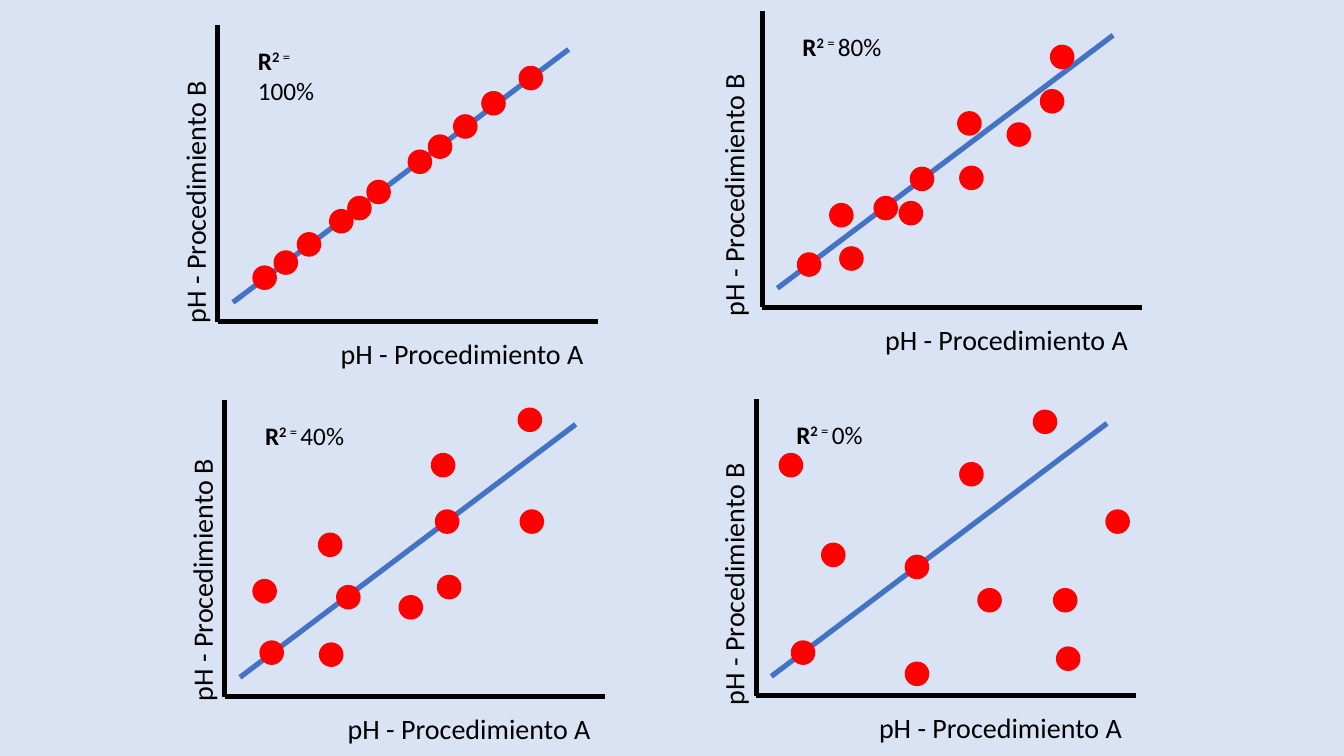
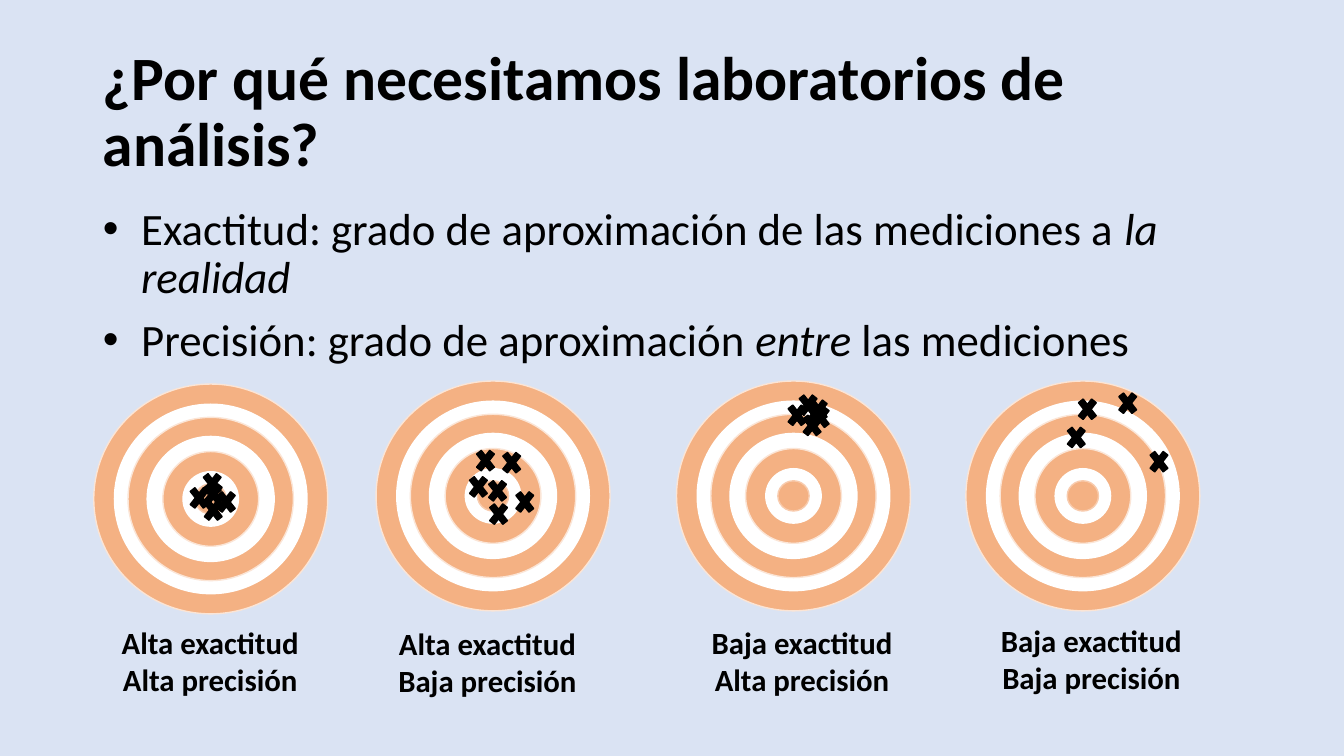
import pptx
import pptx.util
import pptx.dml.color
import pptx.enum.shapes
import pptx.enum.text
import pptx.oxml.ns
import lxml.etree

Inches = pptx.util.Inches
Pt = pptx.util.Pt
RGB = pptx.dml.color.RGBColor
SHAPE = pptx.enum.shapes.MSO_SHAPE
ALIGN = pptx.enum.text.PP_ALIGN
qn = pptx.oxml.ns.qn

SKY = RGB(0xDA, 0xE3, 0xF3)
BLACK = RGB(0, 0, 0)
WHITE = RGB(255, 255, 255)
RED = RGB(255, 0, 0)
BLUE = RGB(0x44, 0x72, 0xC4)
PEACH = RGB(0xF4, 0xB1, 0x83)
PALE = RGB(0xFB, 0xE5, 0xD6)
ROSE = RGB(0xF8, 0xCB, 0xAD)

FONT = {"name": "Calibri"}
TITLE = {"size": Pt(44), "bold": True}
BODY = {"size": Pt(32)}
AXIS = {"size": Pt(20)}
SCORE = {"size": Pt(18)}
LABEL = {"size": Pt(22), "bold": True}

AXES = ("pH - Procedimiento A", "pH - Procedimiento B")
DOT = 0.23
PLOTS = [
    {"root": (2.16, 3.19), "side": (0.59, 1.74), "score": "100%", "wide": 0.93,
     "dots": [(2.51, 2.64), (2.72, 2.49), (2.95, 2.31), (3.27, 2.08), (3.45, 1.95), (3.64, 1.79),
              (4.05, 1.49), (4.25, 1.34), (4.5, 1.14), (4.78, 0.91), (5.15, 0.66)]},
    {"root": (7.56, 3.05), "side": (5.93, 1.67), "score": "80%", "wide": 1.09,
     "dots": [(7.91, 2.51), (8.23, 2.02), (8.33, 2.45), (8.67, 1.95), (8.92, 2), (9.03, 1.66),
              (9.5, 1.11), (9.52, 1.65), (9.99, 1.22), (10.32, 0.89), (10.42, 0.45)]},
    {"root": (2.23, 6.91), "side": (0.66, 5.49), "score": "40%", "wide": 1.09,
     "dots": [(2.51, 5.75), (2.58, 6.36), (3.16, 5.29), (3.17, 6.38), (3.34, 5.81), (3.96, 5.91),
              (4.28, 4.5), (4.32, 5.06), (4.34, 5.71), (5.14, 4.05), (5.16, 5.06)]},
    {"root": (7.5, 6.9), "side": (5.93, 5.53), "score": "0%", "wide": 0.96,
     "dots": [(7.73, 4.5), (7.85, 6.36), (8.15, 5.39), (8.98, 5.51), (8.98, 6.57), (9.52, 4.59),
              (9.7, 5.84), (10.25, 4.07), (10.45, 5.84), (10.48, 6.42), (10.97, 5.06)]},
]

HEAD = "¿Por qué necesitamos laboratorios de análisis?"
POINTS = [
    [("Exactitud: grado de aproximación de las mediciones a ", {}), ("la realidad", {"italic": True})],
    [("Precisión: grado de aproximación ", {}), ("entre", {"italic": True}), (" las mediciones", {})],
]
RINGS = [
    (2.32, 2.28, PEACH, PALE), (1.91, 1.88, WHITE, WHITE), (1.64, 1.62, PEACH, PALE),
    (1.26, 1.24, WHITE, WHITE), (0.95, 0.94, PEACH, PALE), (0.55, 0.54, WHITE, WHITE),
    (0.31, 0.3, PEACH, ROSE),
]
CROSS = (0.25, 0.32)
GOALS = [
    {"mid": (2.09, 4.95), "note": (0.67, 6.14), "text": ("Alta exactitud", "Alta precisión"),
     "hits": [(1.85, 4.78), (1.98, 4.64), (1.99, 4.9), (2.12, 4.82), (1.99, 4.74)]},
    {"mid": (4.89, 4.92), "note": (3.42, 6.15), "text": ("Alta exactitud", "Baja precisión"),
     "hits": [(4.69, 4.41), (4.95, 4.43), (4.62, 4.67), (4.81, 4.71), (4.82, 4.94), (5.08, 4.82)]},
    {"mid": (7.87, 4.92), "note": (6.54, 6.14), "text": ("Baja exactitud", "Alta precisión"),
     "hits": [(7.89, 3.86), (7.99, 3.91), (8.01, 3.98), (7.78, 3.96), (7.93, 4.06)]},
    {"mid": (10.74, 4.92), "note": (9.41, 6.12), "text": ("Baja exactitud", "Baja precisión"),
     "hits": [(10.66, 3.9), (11.06, 3.84), (10.55, 4.18), (11.37, 4.42)]},
]


def apply(item, *forms):
    for form in forms:
        for key, value in form.items():
            setattr(item, key, value)


def place(item, left, top, width, height):
    apply(item, {"left": Inches(left), "top": Inches(top),
                 "width": Inches(width), "height": Inches(height)})


def write(frame, lines, form, para={}):
    frame.word_wrap = True
    for i, parts in enumerate(lines):
        line = frame.paragraphs[0] if i == 0 else frame.add_paragraph()
        apply(line, para)
        for text, extra in parts:
            run = line.add_run()
            run.text = text
            apply(run.font, FONT, form, extra)
            run.font.color.rgb = BLACK


def add_text(slide, box, lines, form, para={}):
    shape = slide.shapes.add_textbox(*map(Inches, box))
    write(shape.text_frame, lines, form, para)
    return shape


def add_line(slide, start, end, color, weight):
    kind = pptx.enum.shapes.MSO_CONNECTOR.STRAIGHT
    line = slide.shapes.add_connector(kind, *map(Inches, start + end))
    line.line.color.rgb = color
    line.line.width = Pt(weight)
    lxml.etree.SubElement(line._element.spPr, qn("a:effectLst"))


def add_mark(slide, kind, box, fill, edge):
    mark = slide.shapes.add_shape(kind, *map(Inches, box))
    mark.shadow.inherit = False
    mark.fill.solid()
    mark.fill.fore_color.rgb = fill
    mark.line.color.rgb = edge
    mark.line.width = Pt(1)


def draw_plot(slide, plot):
    x, y = plot["root"]
    add_line(slide, (x, y - 2.94), (x, y), BLACK, 3.5)
    add_line(slide, (x + 3.77, y), (x, y), BLACK, 3.5)
    add_line(slide, (x + 0.15, y - 0.19), (x + 3.48, y - 2.7), BLUE, 3.75)
    add_text(slide, (x + 1.12, y + 0.1, 2.7, 0.44), [[(AXES[0], {})]], AXIS)
    side = add_text(slide, plot["side"] + (2.69, 0.44), [[(AXES[1], {})]], AXIS)
    side.rotation = 270
    for dot in plot["dots"]:
        add_mark(slide, SHAPE.OVAL, dot + (DOT, DOT), RED, RED)
    parts = [("R", {"bold": True}), ("2 ", {"bold": True}), ("= ", {}), (plot["score"], {})]
    score = add_text(slide, (x + 0.3, y - 2.79, plot["wide"], 0.4), [parts], SCORE)
    for run in score.text_frame.paragraphs[0].runs[1:3]:
        run._r.get_or_add_rPr().set("baseline", "30000")


def draw_goal(slide, goal):
    x, y = goal["mid"]
    for width, height, fill, edge in RINGS:
        add_mark(slide, SHAPE.OVAL, (x - width / 2, y - height / 2, width, height), fill, edge)
    for hit in goal["hits"]:
        add_mark(slide, SHAPE.MATH_MULTIPLY, hit + CROSS, BLACK, BLACK)
    lines = [[(text, {})] for text in goal["text"]]
    add_text(slide, goal["note"] + (2.83, 1.14), lines, LABEL, {"alignment": ALIGN.CENTER})


def fill_holder(holder, box, lines, form, para):
    place(holder, *box)
    write(holder.text_frame, lines, form, para)
    holder.text_frame.auto_size = pptx.enum.text.MSO_AUTO_SIZE.NONE


def main():
    deck = pptx.Presentation()
    apply(deck, {"slide_width": Inches(13.33), "slide_height": Inches(7.5)})
    back = deck.slide_master.background.fill
    back.solid()
    back.fore_color.rgb = SKY

    slide = deck.slides.add_slide(deck.slide_layouts[6])
    for plot in PLOTS:
        draw_plot(slide, plot)

    slide = deck.slides.add_slide(deck.slide_layouts[1])
    para = {"alignment": ALIGN.LEFT, "line_spacing": 0.9}
    fill_holder(slide.shapes.title, (0.92, 0.4, 11.5, 1.45), [[(HEAD, {})]], TITLE, para)
    body = slide.placeholders[1]
    fill_holder(body, (0.92, 2, 11.5, 4.76), POINTS, BODY, {**para, "space_before": Pt(10)})
    for line in body.text_frame.paragraphs:
        props = line._p.get_or_add_pPr()
        props.set("marL", str(Inches(0.38)))
        props.set("indent", str(-Inches(0.38)))
    for goal in GOALS:
        draw_goal(slide, goal)

    deck.save("out.pptx")


if __name__ == "__main__":
    main()
